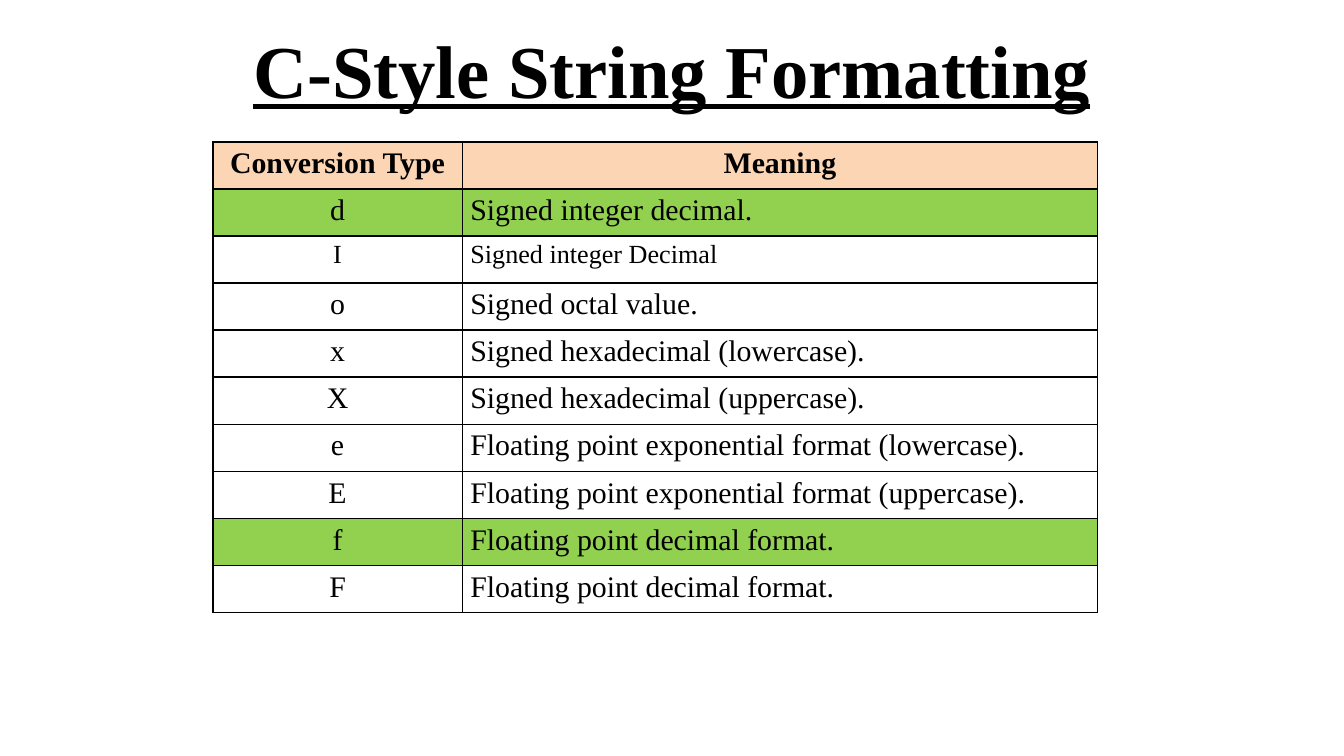
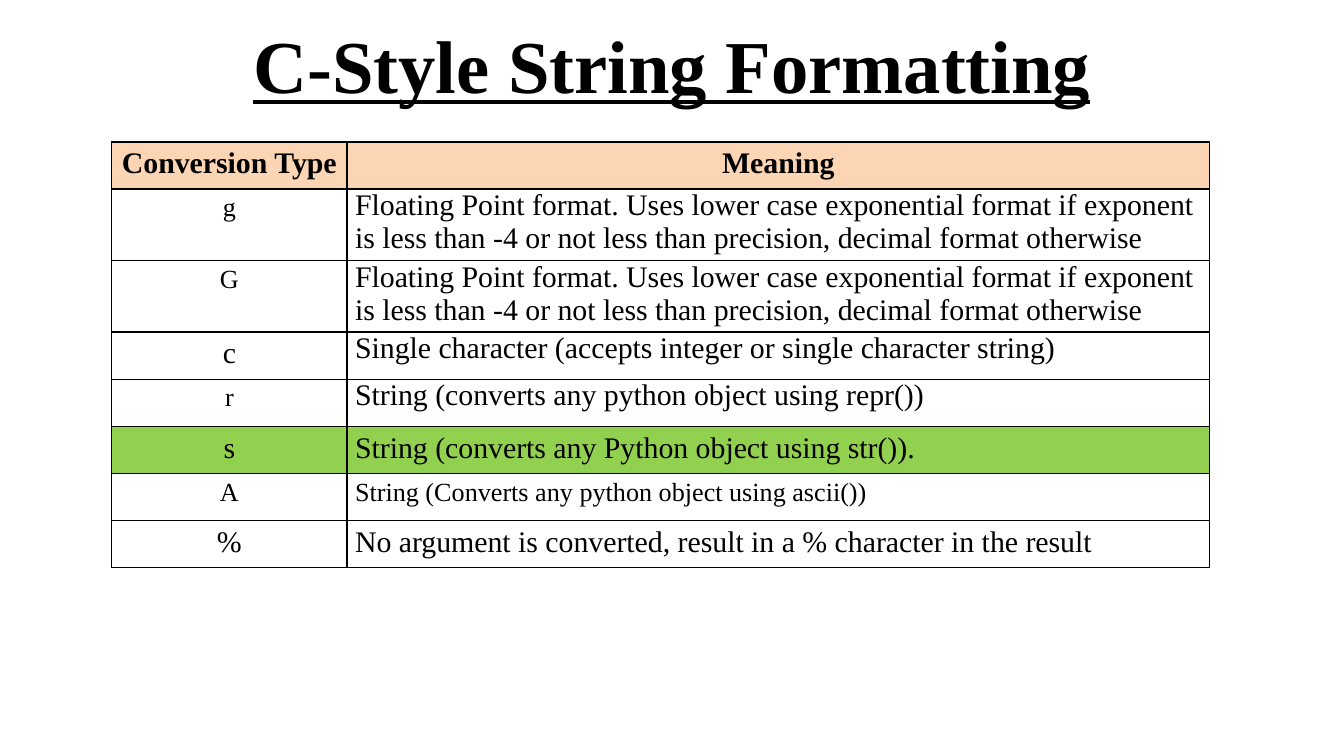
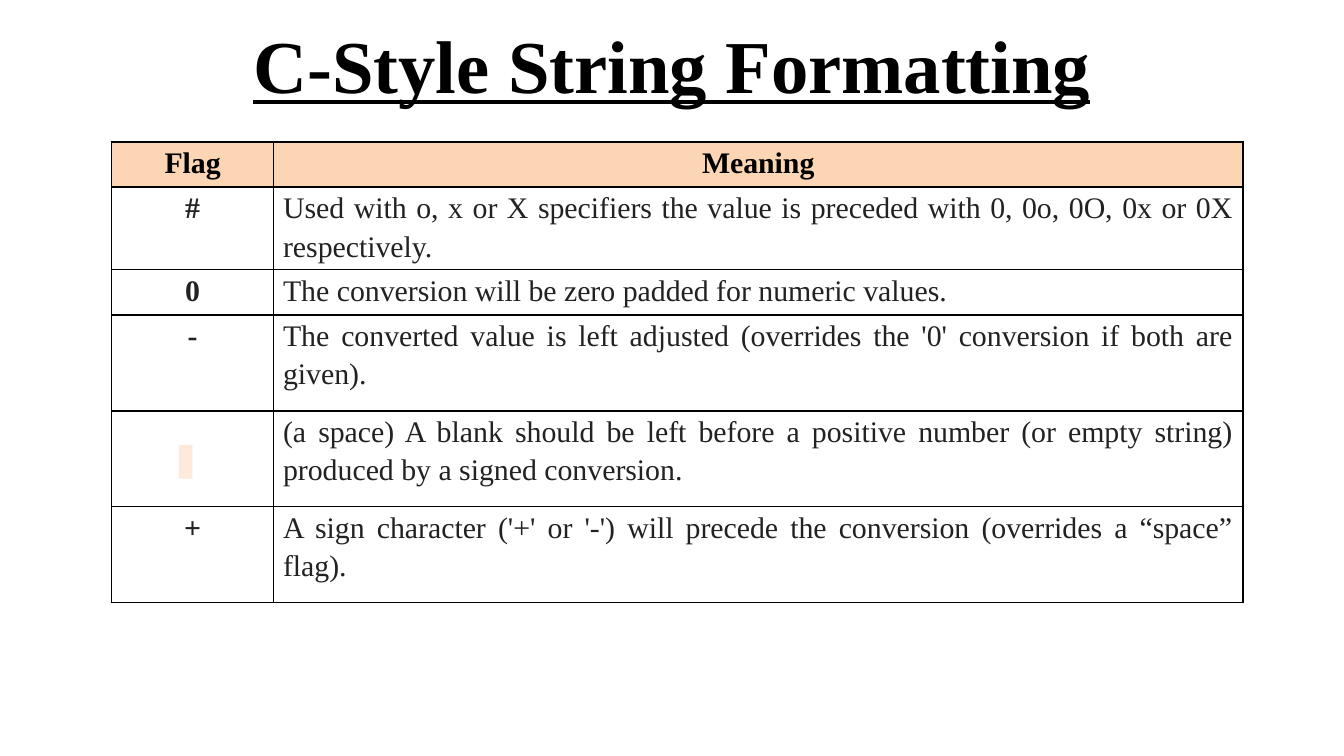
from dataclasses import dataclass

from lxml import etree
from pptx import Presentation
from pptx.dml.color import RGBColor
from pptx.enum.shapes import MSO_SHAPE
from pptx.enum.text import MSO_ANCHOR, PP_ALIGN
from pptx.oxml.ns import qn
from pptx.util import Cm, Pt

LEFT, CENTER, JUSTIFY = PP_ALIGN.LEFT, PP_ALIGN.CENTER, PP_ALIGN.JUSTIFY
MIDDLE = MSO_ANCHOR.MIDDLE
RECTANGLE = MSO_SHAPE.RECTANGLE

BLACK = RGBColor(0x00, 0x00, 0x00)
CHARCOAL = RGBColor(0x22, 0x22, 0x22)
PEACH = RGBColor(0xFC, 0xD5, 0xB5)
PALE_PEACH = RGBColor(0xFD, 0xEA, 0xDA)
GREEN = RGBColor(0x92, 0xD0, 0x50)

FONT = "Times New Roman"
TITLE = "C-Style String Formatting"
LINE_SPACING = 1.15
BORDER_WIDTH = Pt(1)
TABLE_TOP = 2.68


@dataclass
class Conversion:
    symbol: str
    meaning: str
    symbol_size: int = 16
    meaning_size: int = 16
    spacing: float = LINE_SPACING
    highlighted: bool = False


NUMBER_TYPES = [
    Conversion("d", "Signed integer decimal.", highlighted=True),
    Conversion("I", "Signed integer Decimal", 14, 14),
    Conversion("o", "Signed octal value."),
    Conversion("x", "Signed hexadecimal (lowercase)."),
    Conversion("X", "Signed hexadecimal (uppercase)."),
    Conversion("e", "Floating point exponential format (lowercase)."),
    Conversion("E", "Floating point exponential format (uppercase)."),
    Conversion("f", "Floating point decimal format.", highlighted=True),
    Conversion("F", "Floating point decimal format."),
]

GENERAL_FORMAT = (
    "Floating Point format. Uses lower case exponential format if exponent "
    "is less than -4 or not less than precision, decimal format otherwise"
)
TEXT_TYPES = [
    Conversion("g", GENERAL_FORMAT, 14, spacing=1.0),
    Conversion("G", GENERAL_FORMAT, 14, spacing=1.0),
    Conversion("c", "Single character (accepts integer or single character string)",
               spacing=1.0),
    Conversion("r", "String (converts any python object using repr())", 14, spacing=1.0),
    Conversion("s", "String (converts any Python object using str()).", highlighted=True),
    Conversion("A", "String (Converts any python object using ascii())", 14, 14),
    Conversion("%", "No argument is converted, result in a % character in the result"),
]

FLAGS = [
    ("#", "Used with o, x or X specifiers the value is preceded with "
          "0, 0o, 0O, 0x or 0X respectively."),
    ("0", "The conversion will be zero padded for numeric values."),
    ("-", "The converted value is left adjusted "
          "(overrides the '0' conversion if both are given)."),
    ("", "(a space) A blank should be left before a positive number "
         "(or empty string) produced by a signed conversion."),
    ("+", "A sign character ('+' or '-') will precede the conversion "
          "(overrides a “space” flag)."),
]


def add_title(slide, top, height):
    title = slide.shapes.add_textbox(Cm(1.27), Cm(top), Cm(22.86), Cm(height))
    frame = title.text_frame
    frame.word_wrap = True
    frame.vertical_anchor = MIDDLE
    paragraph = frame.paragraphs[0]
    paragraph.text = TITLE
    paragraph.alignment = CENTER
    font = paragraph.runs[0].font
    font.name, font.size, font.color.rgb = FONT, Pt(40), BLACK
    font.bold = font.underline = True


def add_borders(cell):
    properties = cell._tc.get_or_add_tcPr()
    for side in ("lnL", "lnR", "lnT", "lnB"):
        line = etree.SubElement(properties, qn(f"a:{side}"), w=str(BORDER_WIDTH))
        fill = etree.SubElement(line, qn("a:solidFill"))
        etree.SubElement(fill, qn("a:srgbClr"), val=str(BLACK))


def fill_cell(cell, text, align, size=16, bold=False, color=BLACK,
              fill=None, spacing=LINE_SPACING, inset=0.15):
    cell.margin_left = cell.margin_right = Cm(inset)
    cell.margin_top = cell.margin_bottom = 0
    add_borders(cell)
    if fill is None:
        cell.fill.background()
    else:
        cell.fill.solid()
        cell.fill.fore_color.rgb = fill
    if not text:
        return
    paragraph = cell.text_frame.paragraphs[0]
    paragraph.text = text
    paragraph.alignment = align
    paragraph.line_spacing = spacing
    font = paragraph.runs[0].font
    font.name, font.size, font.bold = FONT, Pt(size), bold
    font.color.rgb = color


def add_grid(slide, left, widths, heights, headings, frame_height):
    """Add a table with its heading row filled in."""
    grid = slide.shapes.add_table(len(heights), len(widths), Cm(left), Cm(TABLE_TOP),
                                  Cm(sum(widths)), Cm(sum(heights)))
    table = grid.table
    table.horz_banding = False
    for column, width in zip(table.columns, widths):
        column.width = Cm(width)
    for row, height in zip(table.rows, heights):
        row.height = Cm(height)
    grid.height = Cm(frame_height)
    for cell, heading in zip(table.rows[0].cells, headings):
        fill_cell(cell, heading, CENTER, bold=True, fill=PEACH)
    return table


def add_conversion_table(slide, conversions, left, widths, frame_height):
    heights = [0.89] * (len(conversions) + 1)
    table = add_grid(slide, left, widths, heights,
                     ("Conversion Type", "Meaning"), frame_height)
    for row, conversion in enumerate(conversions, start=1):
        fill = GREEN if conversion.highlighted else None
        fill_cell(table.cell(row, 0), conversion.symbol, CENTER,
                  conversion.symbol_size, fill=fill)
        fill_cell(table.cell(row, 1), conversion.meaning, LEFT,
                  conversion.meaning_size, fill=fill, spacing=conversion.spacing)


def add_flag_table(slide, left, widths, frame_height):
    heights = [0.86] * 3 + [1.81] * 3
    table = add_grid(slide, left, widths, heights, ("Flag", "Meaning"), frame_height)
    for row, (flag, meaning) in enumerate(FLAGS, start=1):
        fill_cell(table.cell(row, 0), flag, CENTER, bold=True,
                  color=CHARCOAL, inset=0.18)
        fill_cell(table.cell(row, 1), meaning, JUSTIFY,
                  color=CHARCOAL, inset=0.18)


def add_space_mark(slide, left, top):
    """Show the blank flag as a small block."""
    mark = slide.shapes.add_shape(RECTANGLE, Cm(left), Cm(top), Cm(0.26), Cm(0.64))
    mark.shadow.inherit = False
    mark.fill.solid()
    mark.fill.fore_color.rgb = PALE_PEACH
    mark.line.fill.background()


def main():
    deck = Presentation()
    deck.slide_width, deck.slide_height = Cm(25.4), Cm(14.29)
    blank = deck.slide_layouts[6]

    # Number conversions
    slide = deck.slides.add_slide(blank)
    add_title(slide, 0.1, 2.39)
    add_conversion_table(slide, NUMBER_TYPES, 4.02, (4.72, 12), 8.86)

    # General, character and string conversions
    slide = deck.slides.add_slide(blank)
    add_title(slide, 0.15, 2.11)
    add_conversion_table(slide, TEXT_TYPES, 2.11, (4.45, 16.3), 7.98)

    # Conversion flags
    slide = deck.slides.add_slide(blank)
    add_title(slide, 0.15, 2.11)
    add_flag_table(slide, 2.11, (3.06, 18.32), 8.74)
    add_space_mark(slide, 3.38, 8.41)

    deck.save("out.pptx")


if __name__ == "__main__":
    main()
